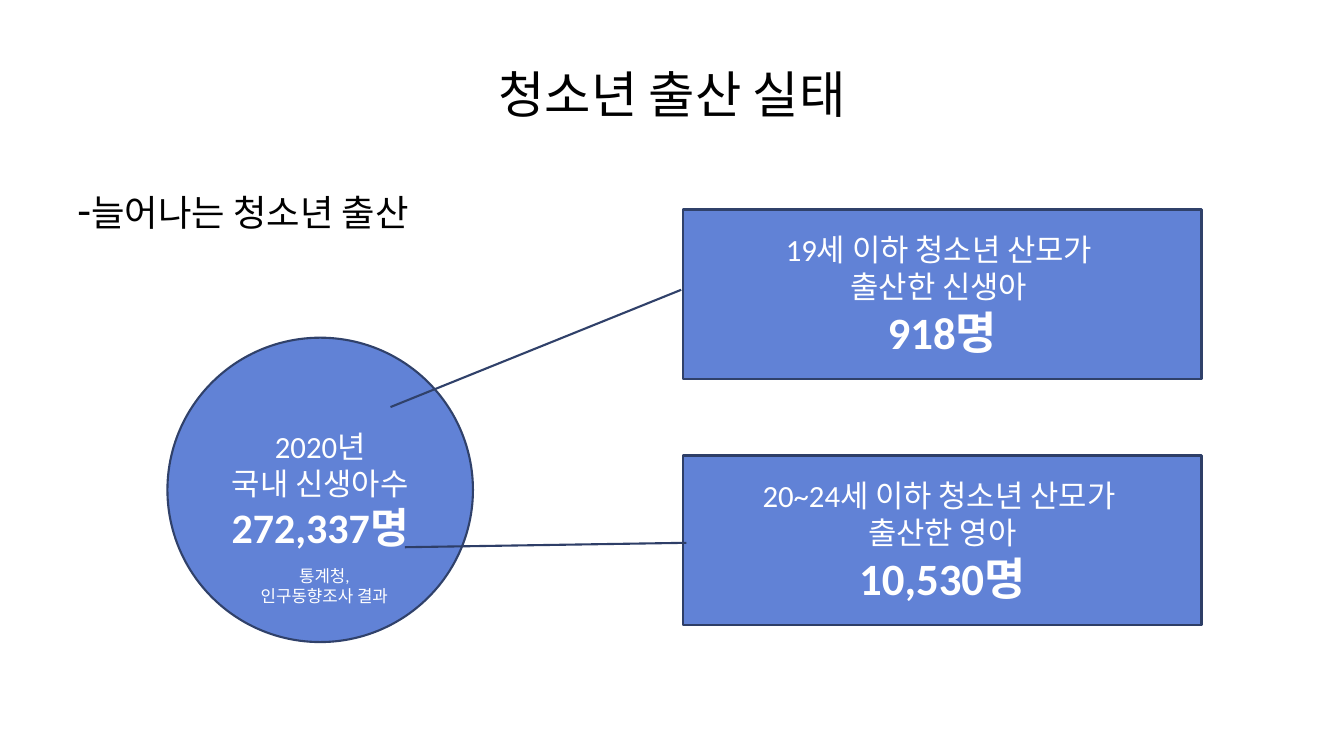
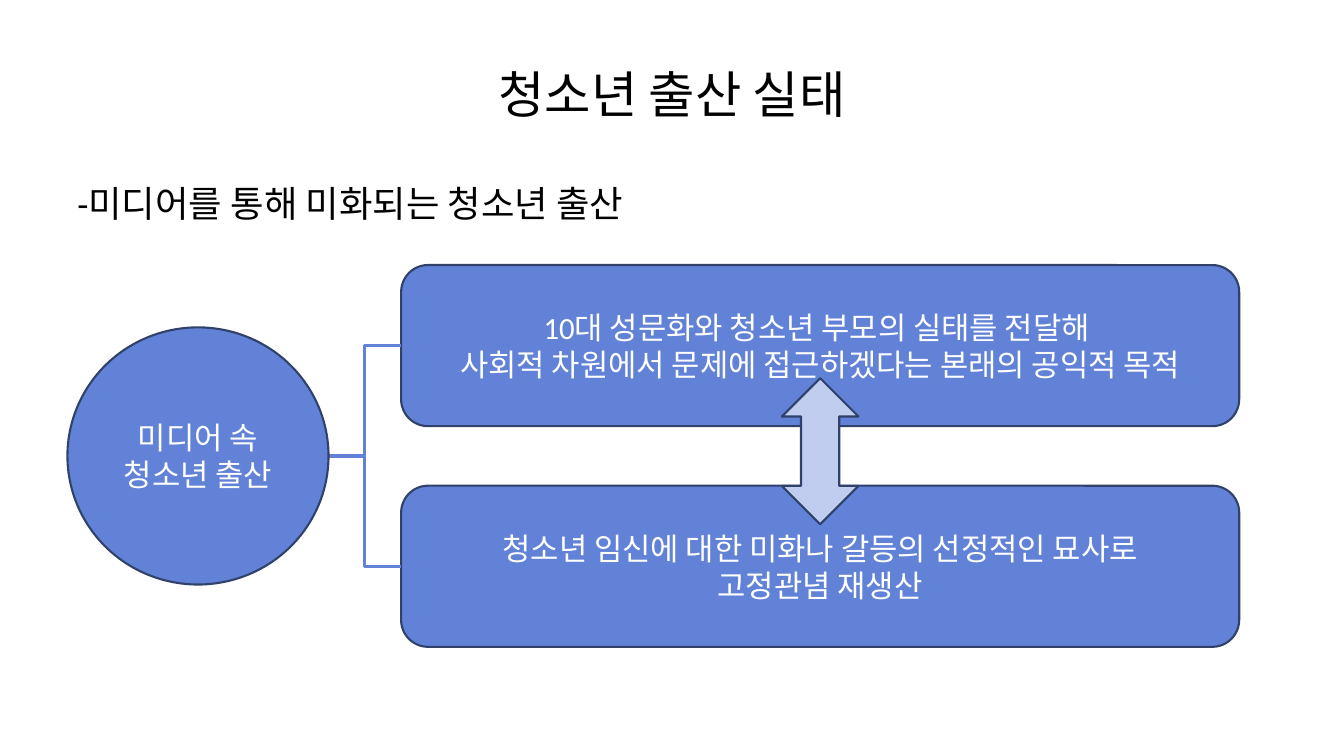
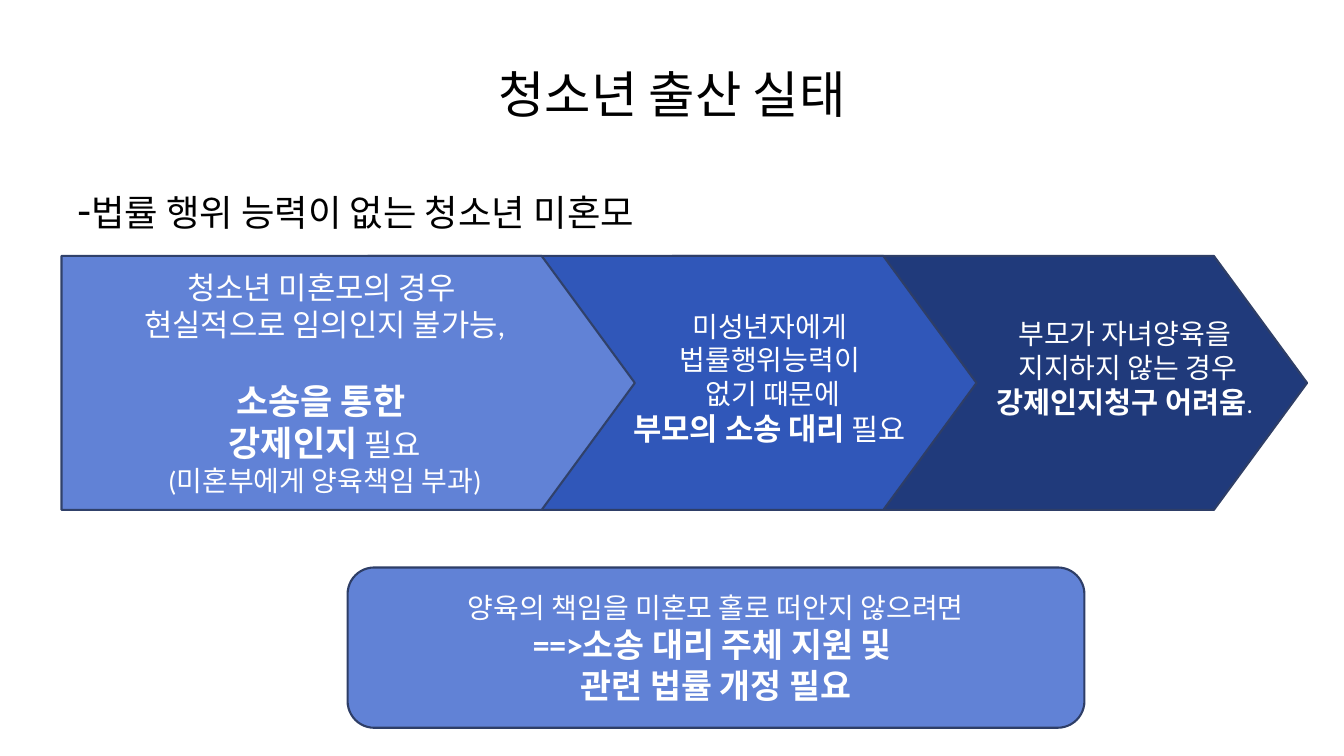
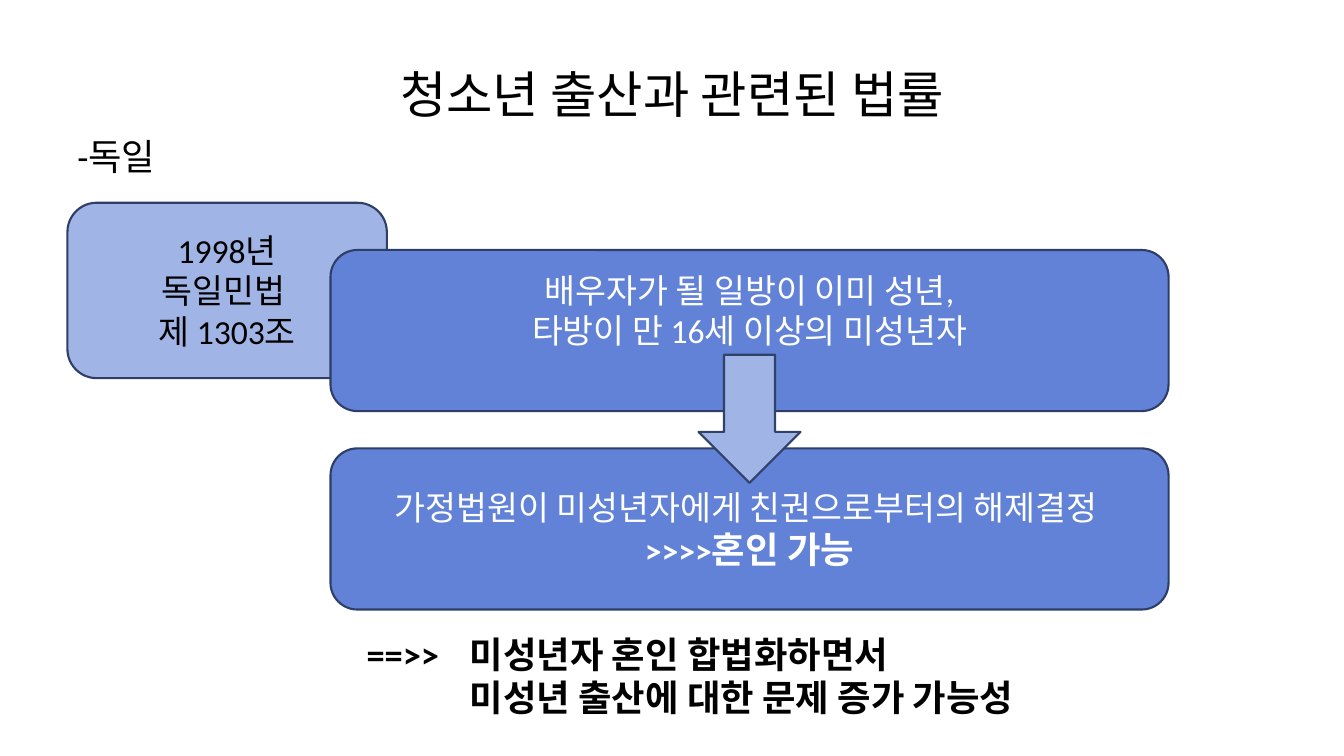
import typing

import pptx
import pptx.util
from pptx.dml.color import RGBColor
from pptx.enum.shapes import MSO_CONNECTOR, MSO_SHAPE
from pptx.enum.text import MSO_ANCHOR, PP_ALIGN
from pptx.oxml.ns import qn
from pptx.util import Cm, Pt
from lxml import etree

BLACK = RGBColor(0x00, 0x00, 0x00)
WHITE = RGBColor(0xFF, 0xFF, 0xFF)
BLUE = RGBColor(0x61, 0x82, 0xD6)
ROYAL = RGBColor(0x30, 0x57, 0xB9)
NAVY = RGBColor(0x20, 0x3A, 0x7B)
SOFT = RGBColor(0xA0, 0xB4, 0xE6)
PALE = RGBColor(0xC0, 0xCD, 0xEF)
EDGE = RGBColor(0x30, 0x41, 0x6A)
DARK = RGBColor(0x2E, 0x3E, 0x67)
FONT = "Calibri"
PANEL_W, PANEL_H = 21.12, 4.06


class Box(typing.NamedTuple):
    """An area in centimetres."""
    x: float
    y: float
    w: float
    h: float

    def sub(self, x, y, w, h):
        """Give the area whose corner is x, y from this one's corner."""
        return Box(self.x + x, self.y + y, w, h)

    def cm(self):
        return [Cm(side) for side in self]


def write(frame, lines, color, align=PP_ALIGN.CENTER):
    """Fill a frame; each line is a list of (text, size, bold) runs."""
    frame.word_wrap = True
    for i, line in enumerate(lines):
        para = frame.add_paragraph() if i else frame.paragraphs[0]
        para.alignment = align
        for text, size, bold in line:
            run = para.add_run()
            run.text = text
            run.font.name = FONT
            run.font.size = Pt(size)
            run.font.bold = bold
            run.font.color.rgb = color


def plain(size, *texts):
    return [[(text, size, False)] for text in texts]


def label(slide, box, lines, color=BLACK, align=PP_ALIGN.LEFT):
    frame = slide.shapes.add_textbox(*box.cm()).text_frame
    write(frame, lines, color, align)
    return frame


def shape(slide, kind, box, fill=BLUE, lines=(), edge=EDGE, color=WHITE, adjust=()):
    item = slide.shapes.add_shape(kind, *box.cm())
    item.shadow.inherit = False
    item.fill.solid()
    item.fill.fore_color.rgb = fill
    item.line.color.rgb = edge
    item.line.width = Pt(1.5)
    for i, value in enumerate(adjust):
        item.adjustments[i] = value
    item.text_frame.vertical_anchor = MSO_ANCHOR.MIDDLE
    write(item.text_frame, lines, color)
    return item


def elbow(slide, start, end):
    item = slide.shapes.add_connector(MSO_CONNECTOR.ELBOW, *[Cm(v) for v in start + end])
    item.line.color.rgb = BLUE
    item.line.width = Pt(2.25)
    etree.SubElement(item._element.spPr, qn("a:effectLst"))


def start(deck, title, topic, dash=26, top=4.45):
    """Add a slide with its title and topic line."""
    slide = deck.slides.add_slide(deck.slide_layouts[6])
    frame = label(slide, Box(1.7, 0.76, 30.48, 3.18), plain(36, title), align=PP_ALIGN.CENTER)
    frame.vertical_anchor = MSO_ANCHOR.MIDDLE
    label(slide, Box(1.7, top, 30.48, 2.06), [[("-", dash, False), (topic, 26, False)]])
    return slide


def births(slide, box):
    """Circle with the total and two callouts that point at it."""
    total = plain(22, "2020년", "국내 신생아수") + [[("272,337명", 30, True)]]
    shape(slide, MSO_SHAPE.OVAL, box.sub(0, 3.23, 7.7, 7.67), lines=total)
    groups = [
        (("19세 이하 청소년 산모가 ", "출산한 신생아 "), "918명", EDGE, (0.474, -0.004, 1.166, -0.565)),
        (("20~24세 이하 청소년 산모가 ", "출산한 영아"), "10,530명", DARK, (0.515, 0.006, 0.541, -0.537)),
    ]
    for i, (texts, count, edge, tail) in enumerate(groups):
        shape(slide, MSO_SHAPE.LINE_CALLOUT_1, box.sub(13, 6.2 * i, 13.06, 4.27),
              lines=plain(22, *texts) + [[(count, 32, True)]], edge=edge, adjust=tail)
    label(slide, box.sub(0.35, 8.84, 7.21, 1.24),
          plain(12, "통계청,", "인구동향조사 결과"), WHITE, PP_ALIGN.CENTER)


def media(slide, box):
    """Circle that branches to two opposed panels."""
    left, step, wide = 8.41, 5.56, 6.58
    panels = [
        ("10대 성문화와 청소년 부모의 실태를 전달해 ", "사회적 차원에서 문제에 접근하겠다는 본래의 공익적 목적"),
        ("청소년 임신에 대한 미화나 갈등의 선정적인 묘사로", "고정관념 재생산"),
    ]
    hub = (box.x + wide, box.y + box.h / 2)
    for i, texts in enumerate(panels):
        panel = box.sub(left, step * i, PANEL_W, PANEL_H)
        shape(slide, MSO_SHAPE.ROUNDED_RECTANGLE, panel, lines=plain(22, *texts))
        elbow(slide, hub, (panel.x, panel.y + PANEL_H / 2))
    shape(slide, MSO_SHAPE.OVAL, box.sub(0, (box.h - 6.48) / 2, wide, 6.48),
          lines=plain(22, "미디어 속", "청소년 출산"))
    shape(slide, MSO_SHAPE.UP_DOWN_ARROW,
          box.sub(left + (PANEL_W - 1.93) / 2, 2.85, 1.93, 3.68), PALE)


def steps(slide, box):
    """Three overlapping arrows, the first on top."""
    need = plain(22, "청소년 미혼모의 경우 ", "현실적으로 임의인지 불가능,") + [
        [("소송을 통한 ", 25, True)],
        [("강제인지", 25, True), (" 필요", 22, False)],
        [("(미혼부에게 양육책임 부과)", 20, False)],
    ]
    plates = [(15.39, 16, NAVY, (), DARK), (7.72, 15.34, ROYAL, (), DARK), (0, 14.45, BLUE, need, EDGE)]
    for x, wide, fill, lines, edge in plates:
        plate = shape(slide, MSO_SHAPE.PENTAGON, box.sub(x, 0, wide, box.h),
                      fill, lines, edge, adjust=(0.367,))
    plate.text_frame.paragraphs[2].space_before = Pt(27)
    proxy = plain(20, "미성년자에게 ", "법률행위능력이 ", "없기 때문에")
    proxy.append([("부모의 소송 대리", 22, True), (" 필요 ", 21, False)])
    label(slide, box.sub(12.9, 1.22, 10.06, 3.71), proxy, WHITE, PP_ALIGN.CENTER)
    claim = plain(20, "부모가 자녀양육을", " 지지하지 않는 경우")
    claim.append([("강제인지청구 어려움", 21, True), (".", 18, False)])
    label(slide, box.sub(22.96, 1.4, 7.67, 3.58), claim, WHITE, PP_ALIGN.CENTER)


def remedy(slide, box):
    lines = plain(20, "양육의 책임을 미혼모 홀로 떠안지 않으려면") + [
        [("==>소송 대리 주체 지원 및 ", 24, True)],
        [("관련 법률 개정 필요", 24, True)],
    ]
    shape(slide, MSO_SHAPE.ROUNDED_RECTANGLE, box, lines=lines, edge=DARK)


def statute(slide, box):
    """Law tag behind two panels joined by an arrow."""
    left = 6.63
    shape(slide, MSO_SHAPE.ROUNDED_RECTANGLE, box.sub(0, 0, 8.05, 4.42), SOFT,
          plain(24, "1998년", "독일민법 ", "제 1303조"), DARK, BLACK)
    terms = plain(24, "배우자가 될 일방이 이미 성년,", "타방이 만 16세 이상의 미성년자")
    ruling = plain(24, "가정법원이 미성년자에게 친권으로부터의 해제결정 ")
    ruling.append([(">>>>", 24, True), ("혼인 가능", 26, True)])
    for y, lines, foot in ((1.19, terms, 1.16), (6.19, ruling, 0.13)):
        panel = shape(slide, MSO_SHAPE.ROUNDED_RECTANGLE, box.sub(left, y, PANEL_W, PANEL_H),
                      lines=lines, edge=DARK)
        panel.text_frame.margin_bottom = Cm(foot)
    shape(slide, MSO_SHAPE.DOWN_ARROW,
          box.sub(left + (PANEL_W - 2.57) / 2, 3.83, 2.57, 3.23), SOFT)


def outcome(slide, box):
    """Bold closing note with a hanging arrow mark."""
    frame = label(slide, box, [
        [("==>>\t미성년자 혼인 합법화하면서", 26, True)],
        [("미성년 출산에 대한 문제 증가 가능성", 26, True)],
    ])
    for para, shift in zip(frame.paragraphs, (-2.6, 0)):
        props = para._p.get_or_add_pPr()
        props.set("marL", str(Cm(2.6)))
        props.set("indent", str(Cm(shift)))


def main():
    deck = pptx.Presentation()
    deck.slide_width, deck.slide_height = Cm(33.87), Cm(19.05)
    title = "청소년 출산 실태"

    births(start(deck, title, "늘어나는 청소년 출산", dash=32), Box(4.22, 5.28, 26.06, 10.9))
    media(start(deck, title, "미디어를 통해 미화되는 청소년 출산"), Box(1.7, 6.68, 29.53, 9.62))

    slide = start(deck, title, "법률 행위 능력이 없는 청소년 미혼모", dash=32)
    steps(slide, Box(1.55, 6.45, 31.4, 6.4))
    remedy(slide, Box(8.76, 14.3, 18.57, 4.04))

    slide = start(deck, "청소년 출산과 관련된 법률", "독일", top=3.25)
    statute(slide, Box(1.7, 5.11, 27.75, 10.25))
    outcome(slide, Box(8.99, 15.8, 23.16, 2.44))

    deck.save("out.pptx")


if __name__ == "__main__":
    main()
